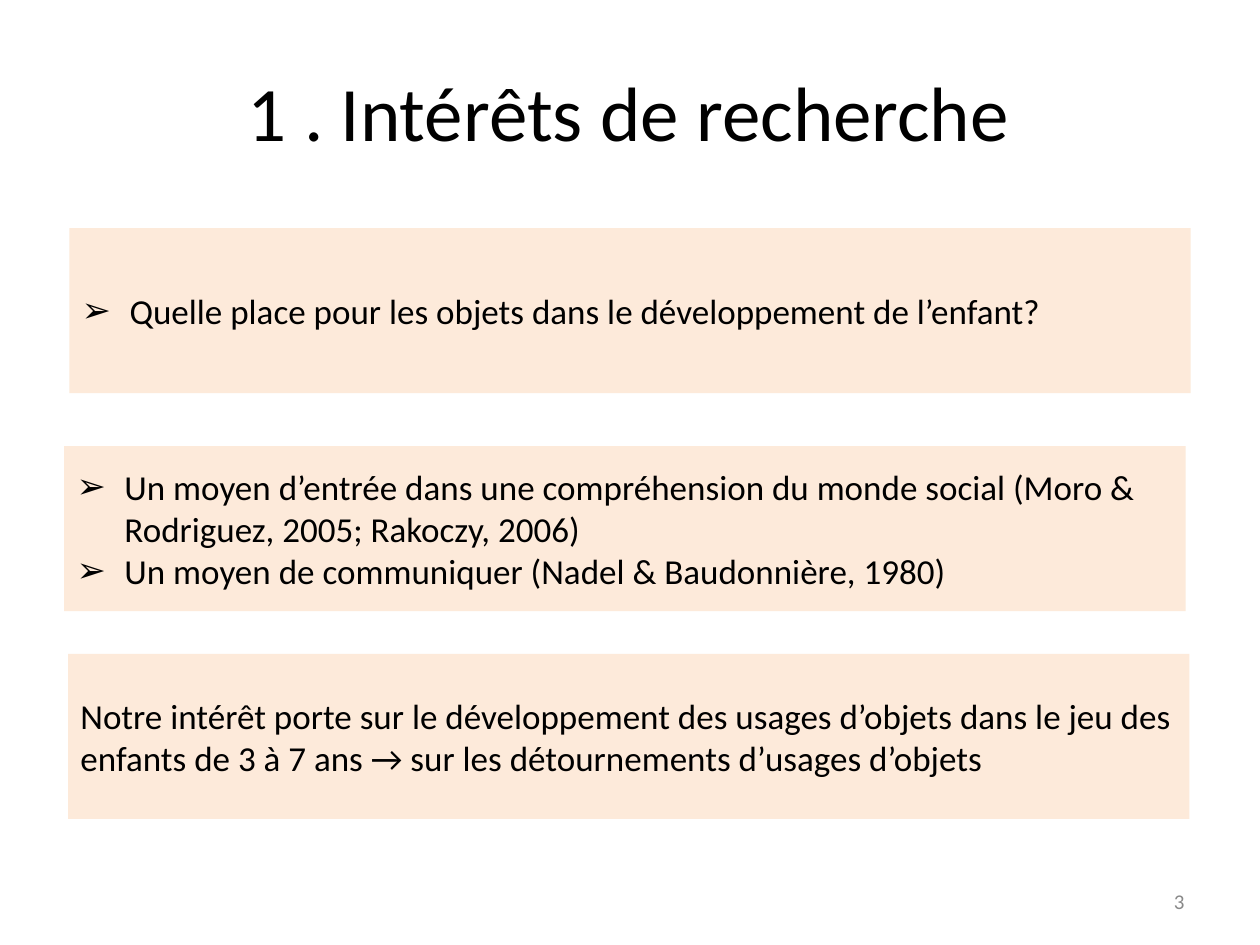
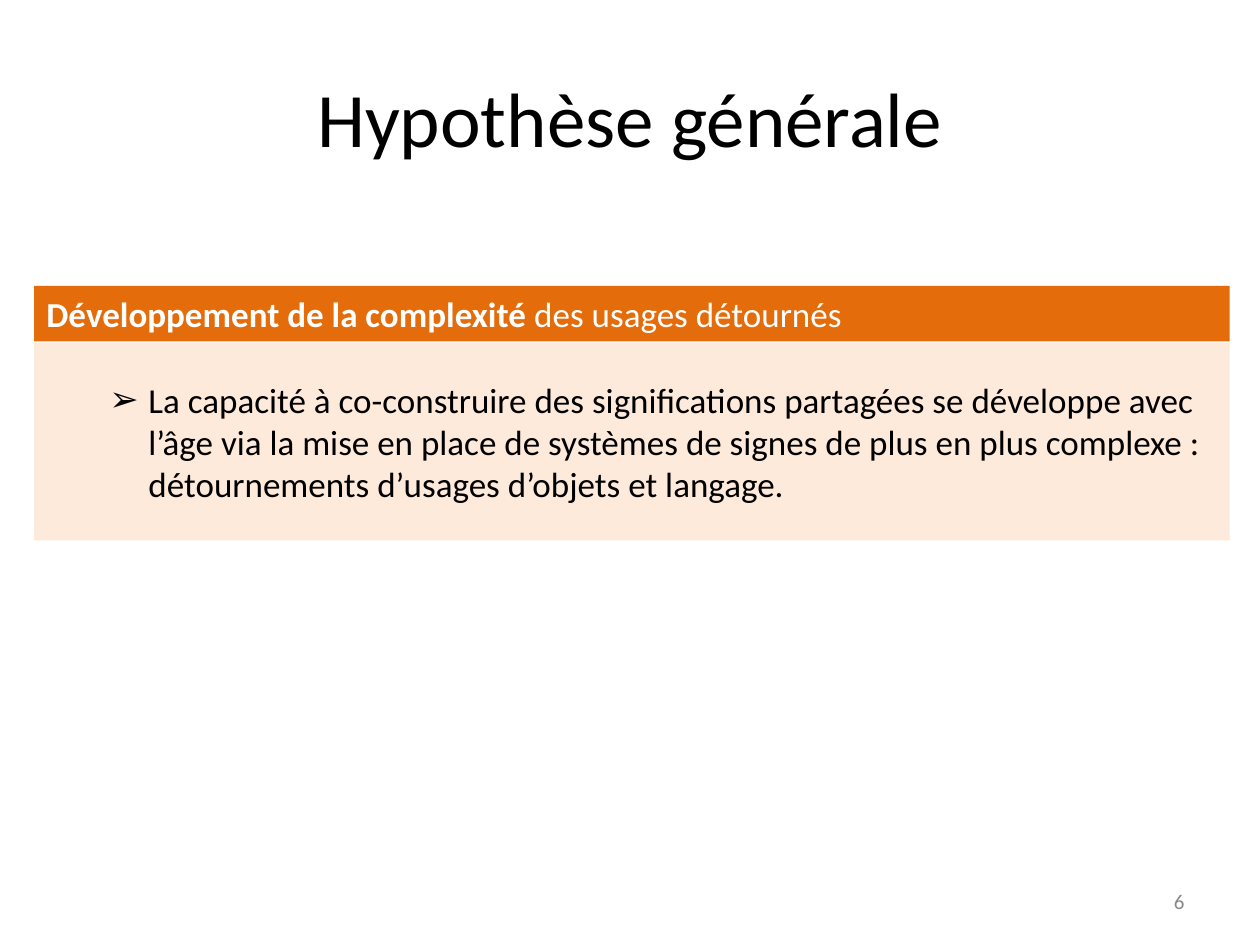
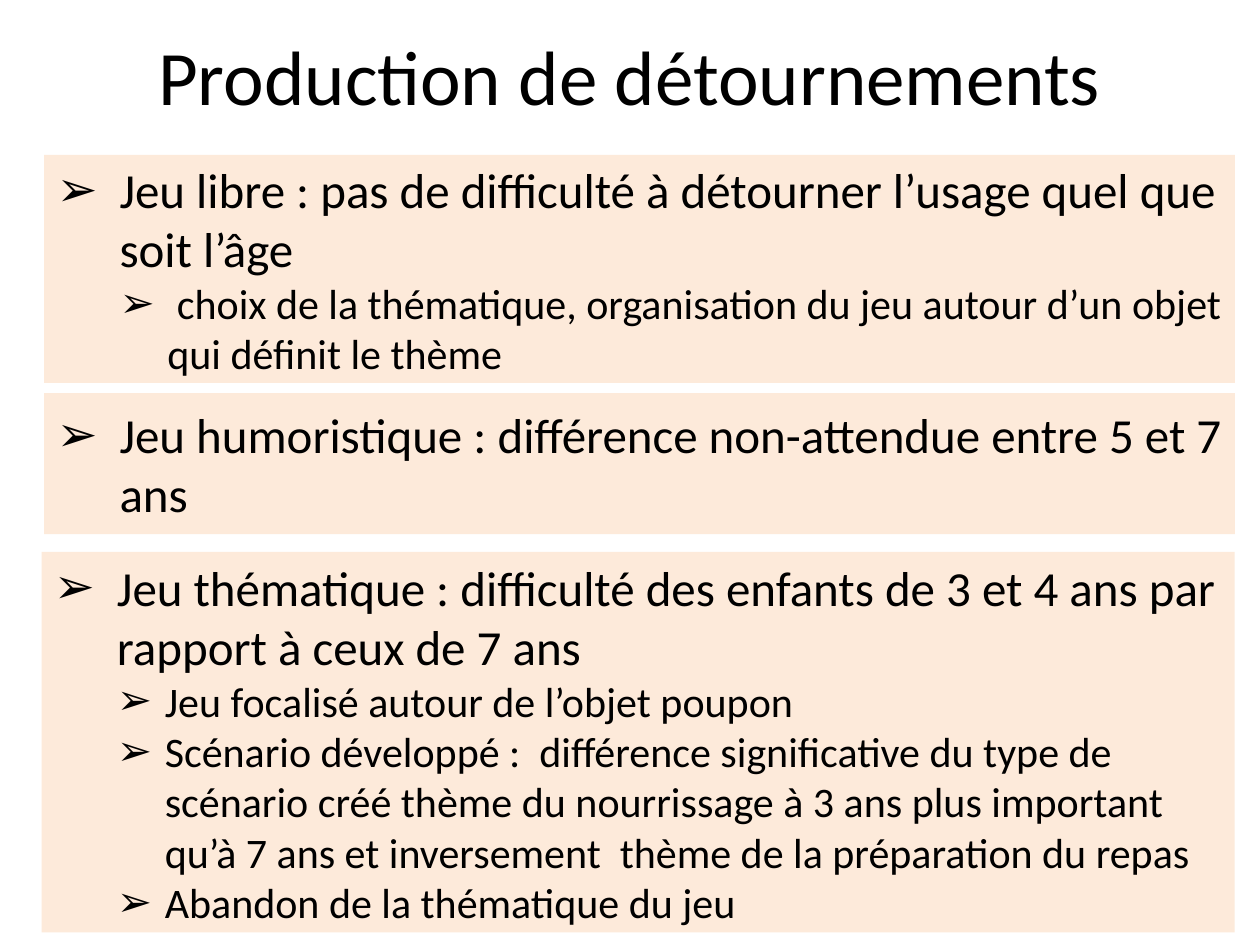
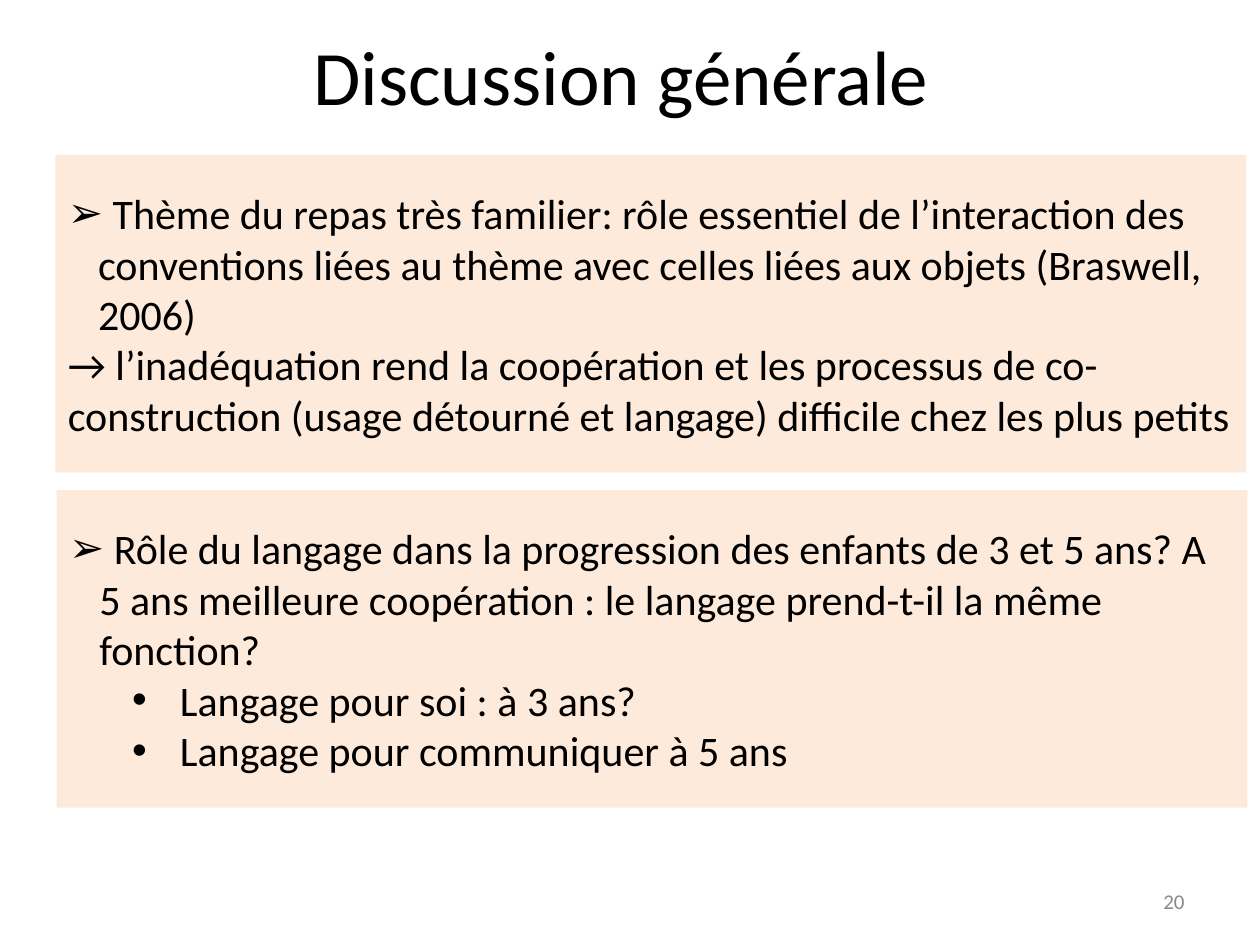
from lxml import etree
from pptx import Presentation
from pptx import util as u
from pptx.dml import color
from pptx.enum import shapes, text
from pptx.oxml import ns

# Shared look
FONT = "Calibri"
BLACK, WHITE, GREY = "000000", "FFFFFF", "898989"
PEACH, ORANGE = "FDEADA", "E46C0A"
LEFT, MID, RIGHT = text.PP_ALIGN.LEFT, text.PP_ALIGN.CENTER, text.PP_ALIGN.RIGHT

# Paragraph styles: level, left margin, hanging indent, bullet
PLAIN = (0, 0, 0, None)
ITEM = (0, 0.38, 0.38, "➢")
DEEP = (1, 0.81, 0.31, "➢")
HEAD = (0, 0.5, 0.5, "➢")
SUB = (1, 0.88, 0.38, "➢")
TIGHT = (0, 0.24, 0.24, "➢")
DOT = (1, 0.88, 0.38, "•")


def rgb(code):
    return color.RGBColor.from_string(code)


def add_box(slide, at, paras, ink=BLACK, fill=None, align=LEFT):
    """Each paragraph is (style, size, run, run, ...); a run in a list is bold."""
    spot = [u.Inches(n) for n in at]
    if fill:
        box = slide.shapes.add_shape(shapes.MSO_SHAPE.RECTANGLE, *spot)
        box.shadow.inherit = False
        box.fill.solid()
        box.fill.fore_color.rgb = rgb(fill)
        box.line.fill.background()
    else:
        box = slide.shapes.add_textbox(*spot)
    frame = box.text_frame
    frame.word_wrap = True
    frame.vertical_anchor = text.MSO_ANCHOR.MIDDLE
    for i, (style, size, *runs) in enumerate(paras):
        para = frame.add_paragraph() if i else frame.paragraphs[0]
        level, left, hang, mark = style
        para.alignment = align
        para.level = level
        if mark:
            props = para._p.get_or_add_pPr()
            props.set("marL", str(u.Inches(left)))
            props.set("indent", str(-u.Inches(hang)))
            etree.SubElement(props, ns.qn("a:buFont")).set("typeface", "Arial")
            etree.SubElement(props, ns.qn("a:buChar")).set("char", mark)
        for words in runs:
            run = para.add_run()
            run.font.bold = isinstance(words, list)
            run.text = words[0] if run.font.bold else words
            run.font.name = FONT
            run.font.size = u.Pt(size)
            run.font.color.rgb = rgb(ink)


# Each slide: title, title place, page number, boxes (place, fill, ink, paragraphs)
deck = [
    ("1 . Intérêts de recherche", (0.49, 0.25), "3", [
        ((0.55, 1.81, 8.9, 1.31), PEACH, BLACK, [
            (ITEM, 20, "Quelle place pour les objets dans le développement de l’enfant?"),
        ]),
        ((0.51, 3.54, 8.9, 1.31), PEACH, BLACK, [
            (ITEM, 20, "Un moyen d’entrée dans une compréhension du monde social "
                       "(Moro & Rodriguez, 2005; Rakoczy, 2006)"),
            (ITEM, 20, "Un moyen de communiquer (Nadel & Baudonnière, 1980)"),
        ]),
        ((0.54, 5.19, 8.9, 1.31), PEACH, BLACK, [
            (PLAIN, 20, "Notre intérêt porte sur le développement des usages d’objets dans "
                        "le jeu des enfants de 3 à 7 ans → sur les détournements d’usages d’objets"),
        ]),
    ]),
    ("Hypothèse générale", (0.5, 0.3), "6", [
        ((0.27, 2.72, 9.49, 1.57), PEACH, BLACK, [
            (DEEP, 20, "La capacité à co-construire des significations partagées se développe "
                       "avec l’âge via la mise en place de systèmes de signes de plus en plus "
                       "complexe : détournements d’usages d’objets et langage."),
        ]),
        ((0.27, 2.27, 9.49, 0.44), ORANGE, WHITE, [
            (PLAIN, 20, ["Développement de la complexité "], "des usages détournés"),
        ]),
    ]),
    ("Production de détournements", (0.5, -0.03), None, [
        ((0.35, 1.23, 9.45, 1.81), PEACH, BLACK, [
            (HEAD, 28, "Jeu libre : pas de difficulté à détourner l’usage quel que soit l’âge"),
            (SUB, 24, " choix de la thématique, organisation du jeu autour d’un objet "
                      "qui définit le thème"),
        ]),
        ((0.35, 3.12, 9.45, 1.12), PEACH, BLACK, [
            (HEAD, 28, "Jeu humoristique : différence non-attendue entre 5 et 7 ans"),
        ]),
        ((0.33, 4.38, 9.47, 3.02), PEACH, BLACK, [
            (HEAD, 28, "Jeu thématique : difficulté des enfants de 3 et 4 ans par rapport "
                       "à ceux de 7 ans"),
            (SUB, 24, "Jeu focalisé autour de l’objet poupon"),
            (SUB, 24, "Scénario développé :  différence significative du type de scénario "
                      "créé thème du nourrissage à 3 ans plus important qu’à 7 ans et "
                      "inversement  thème de la préparation du repas"),
            (SUB, 24, "Abandon de la thématique du jeu"),
        ]),
    ]),
    ("Discussion générale ", (0.5, -0.03), "20", [
        ((0.44, 1.23, 9.45, 2.52), PEACH, BLACK, [
            (TIGHT, 24, " Thème du repas très familier: rôle essentiel de l’interaction des "
                        "conventions liées au thème avec celles liées aux objets (Braswell, 2006)"),
            (PLAIN, 24, "→ l’inadéquation rend la coopération et les processus de "
                        "co-construction (usage détourné et langage) difficile chez les plus petits"),
        ]),
        ((0.45, 3.89, 9.45, 2.52), PEACH, BLACK, [
            (TIGHT, 24, " Rôle du langage dans la progression des enfants de 3 et 5 ans? "
                        "A 5 ans meilleure coopération : le langage prend-t-il la même fonction?"),
            (DOT, 24, "Langage pour soi : à 3 ans?"),
            (DOT, 24, "Langage pour communiquer à 5 ans"),
        ]),
    ]),
]

prs = Presentation()
prs.slide_width, prs.slide_height = u.Inches(10), u.Inches(7.5)

for title, place, page, boxes in deck:
    slide = prs.slides.add_slide(prs.slide_layouts[6])
    # Title
    add_box(slide, (*place, 9, 1.25), [(PLAIN, 44, title)], align=MID)
    # Page number
    if page:
        add_box(slide, (7.17, 6.95, 2.33, 0.4), [(PLAIN, 12, page)], GREY, align=RIGHT)
    # Body boxes
    for at, fill, ink, paras in boxes:
        add_box(slide, at, paras, ink, fill)

prs.save("out.pptx")
